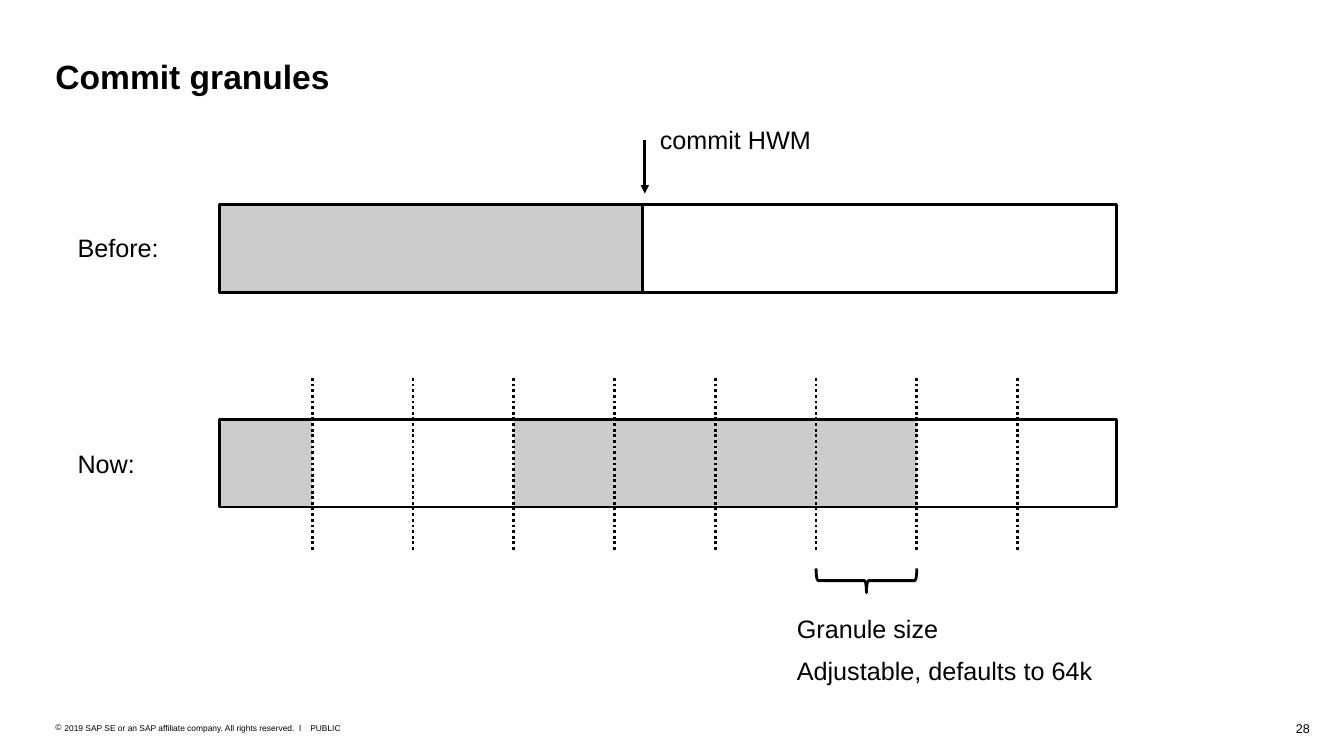
from pptx import Presentation
from pptx.dml.color import RGBColor
from pptx.enum.dml import MSO_LINE
from pptx.enum.shapes import MSO_CONNECTOR, MSO_SHAPE
from pptx.enum.text import MSO_ANCHOR, PP_ALIGN
from pptx.oxml.ns import qn
from pptx.util import Emu, Pt
from lxml.etree import SubElement

EMU_PER_PX = 9144  # 100 px to the inch


def px(length):
    return Emu(length * EMU_PER_PX)


def color(hex_code):
    return RGBColor.from_string(hex_code)


class SlideBuilder:
    FONT = "Arial"
    INK = "000000"
    COMMITTED = "CCCCCC"
    LINE_WIDTH = Pt(2)

    def __init__(self, slide):
        self.slide = slide

    def style_font(self, paragraph, size, bold=False):
        font = paragraph.font
        font.name, font.size, font.bold = self.FONT, Pt(size), bold
        font.color.rgb = color(self.INK)

    def style_frame(self, frame):
        frame.margin_left = frame.margin_right = 0
        frame.margin_top = frame.margin_bottom = 0
        frame.vertical_anchor = MSO_ANCHOR.TOP
        frame.word_wrap = True

    def style_line(self, line):
        line.color.rgb = color(self.INK)
        line.width = self.LINE_WIDTH

    def title(self, left, top, width, height, wording):
        title = self.slide.shapes.title
        title.left, title.top = px(left), px(top)
        title.width, title.height = px(width), px(height)
        self.style_frame(title.text_frame)
        title.text_frame.text = wording
        heading = title.text_frame.paragraphs[0]
        heading.alignment = PP_ALIGN.LEFT
        self.style_font(heading, 24, bold=True)

    def text(self, left, top, width, height, *lines, size=18,
             align=PP_ALIGN.LEFT, bullet=None):
        box = self.slide.shapes.add_textbox(px(left), px(top), px(width), px(height))
        frame = box.text_frame
        self.style_frame(frame)
        for i, wording in enumerate(lines):
            paragraph = frame.paragraphs[0] if i == 0 else frame.add_paragraph()
            paragraph.text = wording
            paragraph.alignment = align
            if i:
                paragraph.space_before = Pt(9)
            if bullet:
                props = paragraph._p.get_or_add_pPr()
                props.set("marL", str(px(9)))
                props.set("indent", str(px(-9)))
                SubElement(props, qn("a:buFont")).set("typeface", self.FONT)
                SubElement(props, qn("a:buChar")).set("char", bullet)
            self.style_font(paragraph, size)

    def shape(self, kind, left, top, width, height, fill=None, outline=True):
        shape = self.slide.shapes.add_shape(kind, px(left), px(top), px(width), px(height))
        shape.shadow.inherit = False
        if fill:
            shape.fill.solid()
            shape.fill.fore_color.rgb = color(fill)
        else:
            shape.fill.background()
        if outline:
            self.style_line(shape.line)
        else:
            shape.line.fill.background()
        return shape

    def bar(self, left, top, width, height, **look):
        self.shape(MSO_SHAPE.RECTANGLE, left, top, width, height, **look)

    def brace(self, left, top, width, height):
        """Brace that opens upwards; the preset stands upright before its turn."""
        inset = (width - height) // 2
        brace = self.shape(MSO_SHAPE.RIGHT_BRACE, left + inset, top - inset, height, width)
        brace.rotation = 90
        brace.adjustments[0] = 0.08

    def vertical_line(self, x, top, bottom, dash=None, arrow=False):
        line = self.slide.shapes.add_connector(
            MSO_CONNECTOR.STRAIGHT, px(x), px(top), px(x), px(bottom))
        self.style_line(line.line)
        if dash:
            line.line.dash_style = dash
        if arrow:
            SubElement(line.line._get_or_add_ln(), qn("a:tailEnd")).set("type", "triangle")
        SubElement(line._element.spPr, qn("a:effectLst"))


def main():
    prs = Presentation()
    prs.slide_width, prs.slide_height = px(1334), px(750)
    page = SlideBuilder(prs.slides.add_slide(prs.slide_layouts[5]))
    page.title(55, 55, 1223, 40, "Commit granules")

    bar_left, bar_width, bar_height = 218, 890, 87
    before_top, now_top = 203, 416
    label_left, label_width = 77, 90

    # Before: one committed stretch up to the high water mark
    page.text(label_left, 231, label_width, 30, "Before:")
    page.bar(bar_left, before_top, bar_width, bar_height)
    page.bar(bar_left, before_top, 420, bar_height, fill=page.COMMITTED)
    page.vertical_line(640, 139, 192, arrow=True)
    page.text(655, 123, 160, 30, "commit HWM")

    # Now: committed granules, as first granule and count
    granule = 100
    borders = [310 + granule * i for i in range(8)]
    edges = [bar_left, *borders, bar_left + bar_width]
    page.text(label_left, 445, label_width, 30, "Now:")
    for first, count in [(0, 1), (3, 1), (4, 1), (5, 2)]:
        start, end = edges[first], edges[first + count]
        page.bar(start, now_top, end - start, bar_height,
                 fill=page.COMMITTED, outline=False)
    page.bar(bar_left, now_top, bar_width, bar_height)
    for border in borders:
        page.vertical_line(border, 375, 547, dash=MSO_LINE.ROUND_DOT)

    # Granule size
    page.brace(borders[5], 564, granule, 24)
    page.text(791, 608, 310, 73, "Granule size", "Adjustable, defaults to 64k")

    # Footer
    page.text(55, 717, 250, 10,
              "2019 SAP SE or an SAP affiliate company. All rights reserved.  ǀ",
              size=6, bullet="©")
    page.text(308, 717, 40, 10, "PUBLIC", size=6)
    page.text(1242, 715, 58, 15, "28", size=9, align=PP_ALIGN.RIGHT)

    prs.save("out.pptx")


if __name__ == "__main__":
    main()
